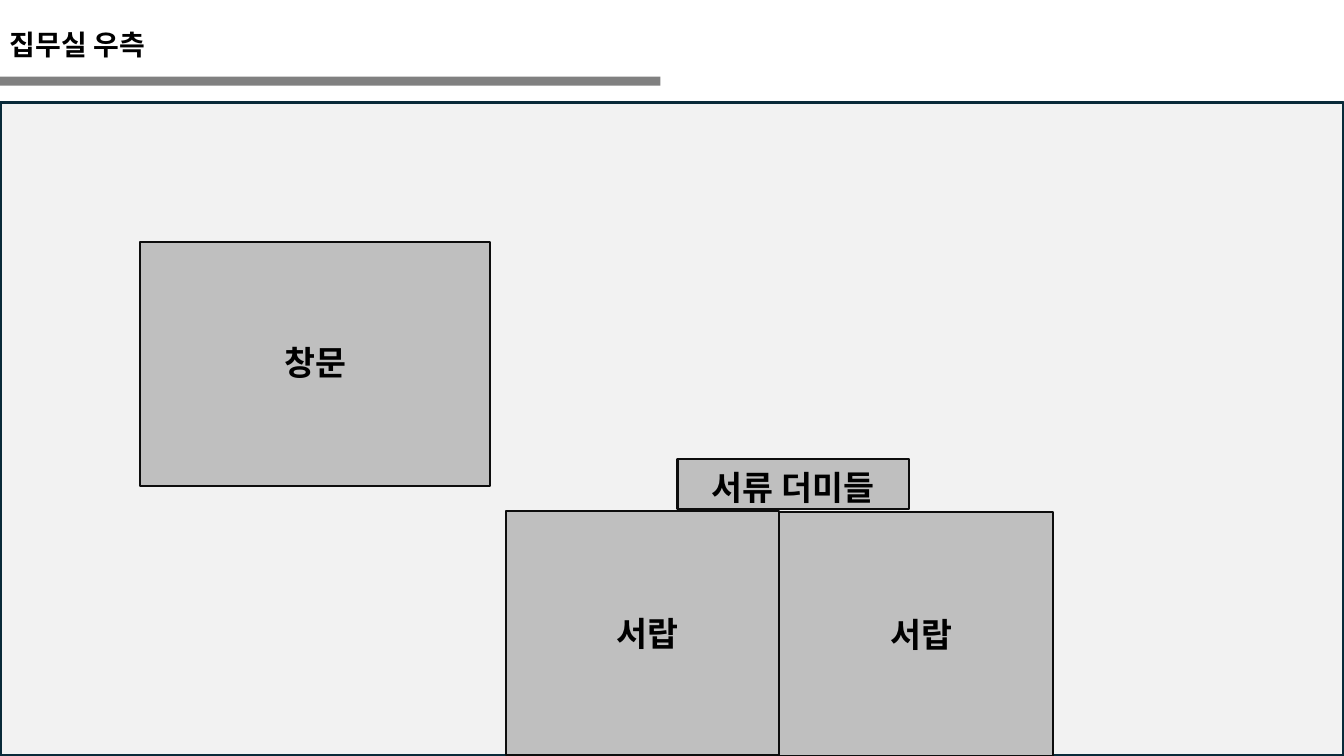
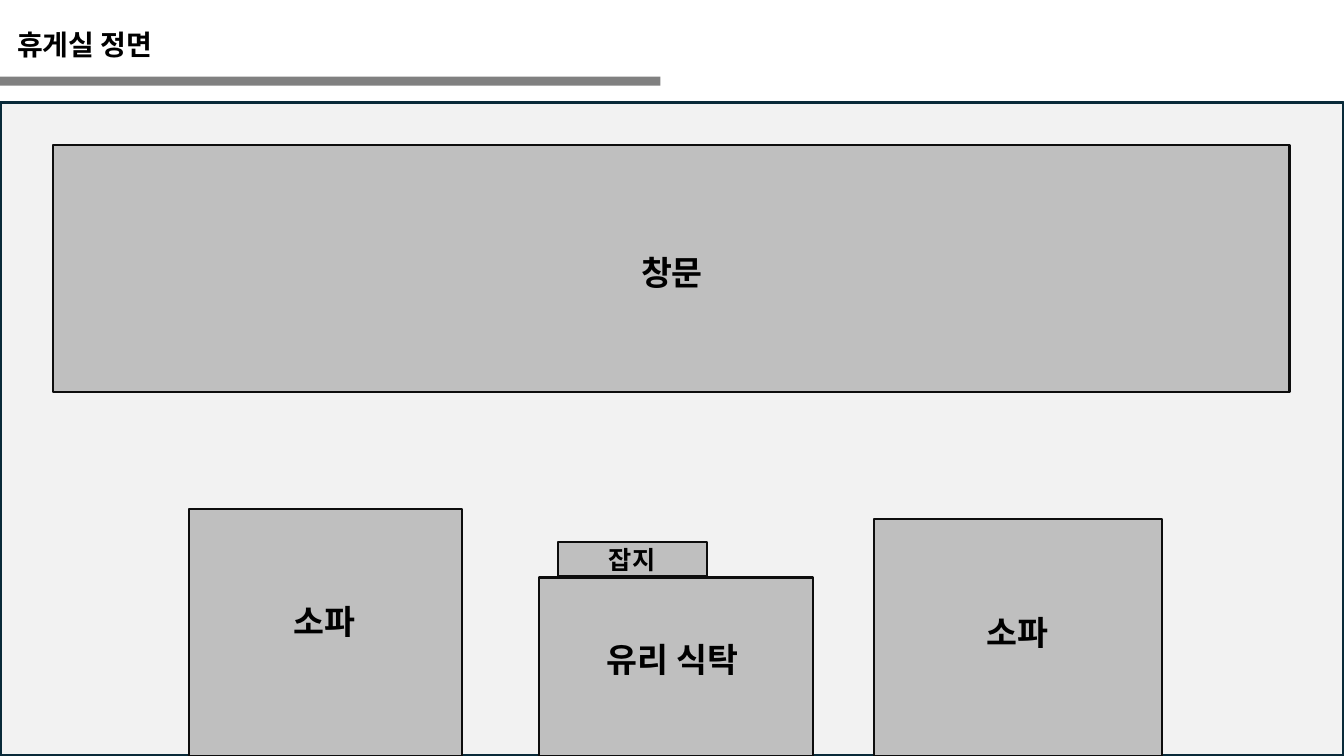
from lxml.etree import SubElement
from pptx import Presentation
from pptx.dml.color import RGBColor
from pptx.enum.shapes import MSO_SHAPE
from pptx.enum.text import PP_ALIGN
from pptx.oxml.ns import qn
from pptx.util import Inches, Pt

FONT = "Noto Sans CJK KR"
INK, BAR, ROOM, EDGE = "000000", "808080", "F2F2F2", "092A39"
ITEM, RIM = "BFBFBF", "0D0D0D"
WIDE, HIGH = 13.33, 7.5

# Each item: label, size, box (left, top, width, height), label (left, top, width)
ROOMS = [
    {"title": "집무실 우측", "indent": 0, "items": [
        ("창문", 24, (1.39, 2.4, 3.47, 2.42), (2.07, 3.34, 2.11)),
        ("서랍", 24, (5.02, 5.07, 2.71, 2.42), (5.37, 6.03, 2.11)),
        ("서랍", 24, (7.73, 5.08, 2.71, 2.42), (8.08, 6.04, 2.11)),
        ("서류 더미들", 24, (6.72, 4.55, 2.3, 0.5), (6.81, 4.58, 2.11)),
    ]},
    {"title": "휴게실 정면", "indent": 0.07, "items": [
        ("창문", 24, (0.53, 1.44, 12.26, 2.45), (5.61, 2.45, 2.11)),
        ("소파", 24, (1.87, 5.05, 2.71, 2.45), (1.78, 5.91, 2.88)),
        ("소파", 24, (8.67, 5.15, 2.86, 2.35), (8.65, 6.02, 2.88)),
        ("유리 식탁", 24, (5.35, 5.73, 2.71, 1.77), (5.23, 6.29, 2.88)),
        ("잡지", 18, (5.53, 5.38, 1.48, 0.34), (5.67, 5.35, 1.2)),
    ]},
]


def color(code):
    return RGBColor.from_string(code)


def block(slide, area, fill, line=None, weight=1.5):
    shape = slide.shapes.add_shape(MSO_SHAPE.RECTANGLE, *map(Inches, area))
    shape.shadow.inherit = False
    shape.fill.solid()
    shape.fill.fore_color.rgb = color(fill)
    if line:
        shape.line.color.rgb = color(line)
        shape.line.width = Pt(weight)
    else:
        shape.line.fill.background()


def label(slide, text, size, spot, align=PP_ALIGN.CENTER, indent=0):
    left, top, width = spot
    height = 0.1 + size / 60
    box = slide.shapes.add_textbox(*map(Inches, (left, top, width, height)))
    frame = box.text_frame
    frame.word_wrap = True
    frame.margin_left = Inches(0.1 + indent)
    para = frame.paragraphs[0]
    para.text = text
    para.alignment = align
    font = para.font
    font.name, font.size, font.bold = FONT, Pt(size), True
    font.color.rgb = color(INK)
    # Hangul takes the East Asian typeface
    props = para._p.xpath("./a:pPr/a:defRPr")[0]
    SubElement(props, qn("a:ea"), typeface=FONT)


def build(deck, room):
    slide = deck.slides.add_slide(deck.slide_layouts[6])
    # Header and room
    block(slide, (0, 0.76, 6.55, 0.09), BAR)
    label(slide, room["title"], 20, (0, 0.22, 4.66), PP_ALIGN.LEFT, room["indent"])
    block(slide, (0, 1.02, WIDE, HIGH - 1.02), ROOM, EDGE, 2.25)
    # Furniture
    for text, size, area, spot in room["items"]:
        block(slide, area, ITEM, RIM)
        label(slide, text, size, spot)


def main():
    deck = Presentation()
    deck.slide_width, deck.slide_height = Inches(WIDE), Inches(HIGH)
    for room in ROOMS:
        build(deck, room)
    deck.save("out.pptx")


if __name__ == "__main__":
    main()
